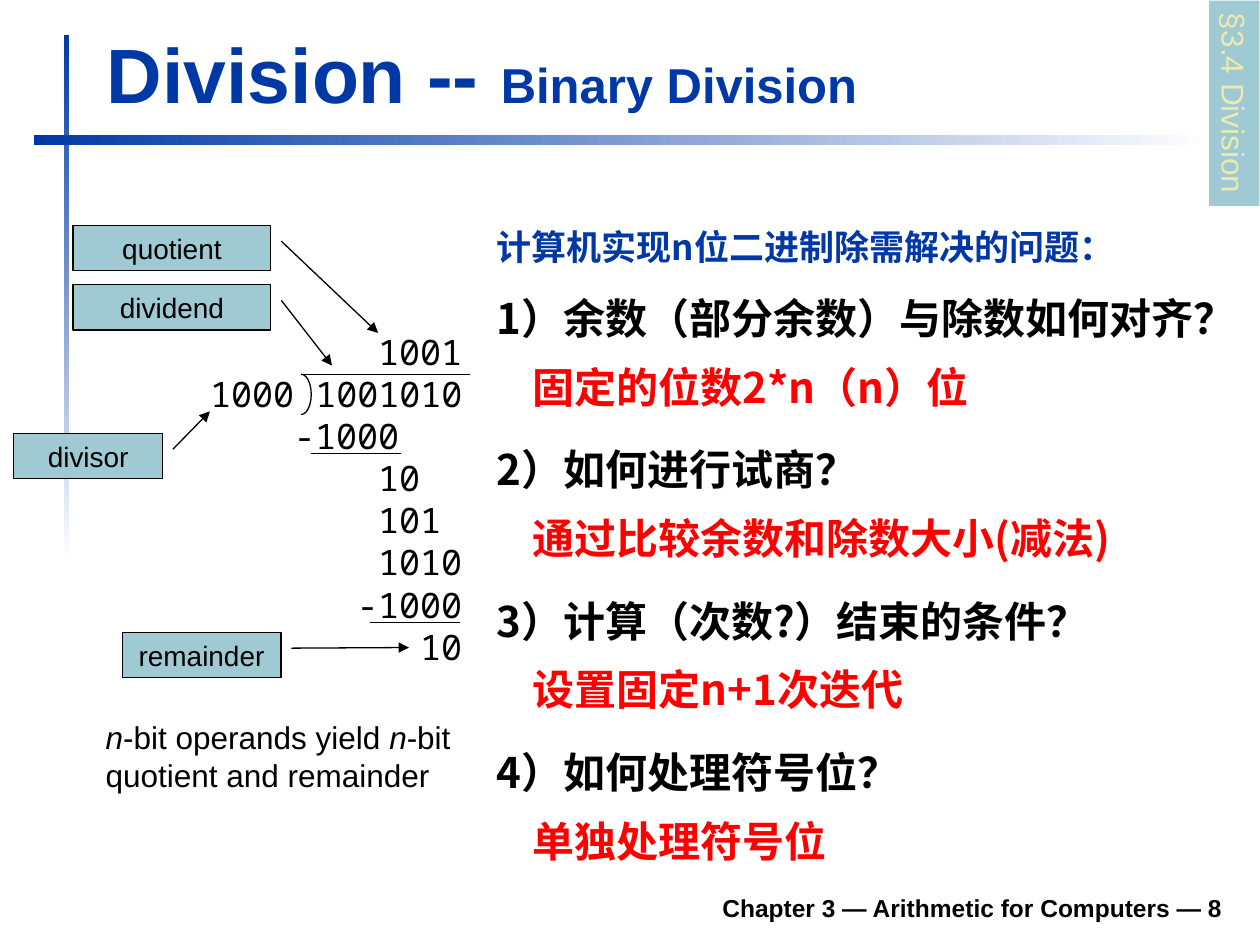
"""Build the binary division slide with its worked example and questions."""
from dataclasses import dataclass

from lxml import etree
from pptx import Presentation
from pptx.dml.color import RGBColor
from pptx.enum.shapes import MSO_CONNECTOR as Connector, MSO_SHAPE as Shape
from pptx.enum.text import MSO_ANCHOR as Anchor, PP_ALIGN as Align
from pptx.oxml.ns import qn
from pptx.util import Inches, Pt


@dataclass(frozen=True)
class Theme:
    blue: str = "0039A6"
    teal: str = "9FCAD3"
    cream: str = "ECEAAC"
    red: str = "FF0000"
    black: str = "000000"
    white: str = "FFFFFF"
    sans: str = "Arial"
    chinese: str = "Noto Sans CJK SC"
    mono: str = "Noto Sans Mono"
    title: int = 44
    subtitle: int = 28
    question: int = 24
    heading: int = 20
    digits: int = 20
    note: int = 18
    label: int = 16
    footer: int = 14
    hairline: float = 0.75


THEME = Theme()

TITLE = [("Division -- ", THEME.title), ("Binary Division", THEME.subtitle)]
SECTION = "§3.4 Division"
FOOTER = "Chapter 3 — Arithmetic for Computers — 8"
HEADING = "计算机实现n位二进制除需解决的问题："
QUESTIONS = [
    "1）余数（部分余数）与除数如何对齐？",
    "2）如何进行试商？",
    "3）计算（次数?）结束的条件？",
    "4）如何处理符号位？",
]
ANSWERS = [
    "固定的位数2*n（n）位",
    "通过比较余数和除数大小(减法)",
    "设置固定n+1次迭代",
    "单独处理符号位",
]
WORKING = [
    (8, "1001"), (0, "1000 1001010"), (4, "-1000"), (8, "10"),
    (8, "101"), (8, "1010"), (7, "-1000"), (10, "10"),
]
NOTE = [
    [("n", True), ("-bit operands yield ", False), ("n", True), ("-bit", False)],
    [("quotient and remainder", False)],
]
CALLOUTS = [
    ("quotient", (0.58, 1.79, 1.57), (0.346, 1.053, 2.37, 1.542)),
    ("dividend", (0.58, 2.26, 1.57), (0.346, 1.053, 1.784, 1.309)),
    ("remainder", (0.97, 5.02, 1.26), (0.346, 1.066, 0.332, 1.807)),
    ("divisor", (0.11, 3.44, 1.18), (0.346, 1.071, -0.486, 1.319)),
]
RULES = [(2.39, 3.73, 2.97), (2.47, 3.18, 3.6), (2.94, 3.65, 4.94)]
BARS = [((0.51, 0.28, 0.04, 4.17), 270), ((0.27, 1.07, 9.37, 0.08), 0)]
CALLOUT_HEIGHT = 0.36
QUESTION_LINE = 43.2
HEADING_LINE = 37
DIGIT_LINE = 24.1
DIGIT_WIDTH = 12


def rgb(color):
    return RGBColor.from_string(color)


def inches(*values):
    return [Inches(value) for value in values]


def add_span(para, text, size, color=THEME.black, font=THEME.sans, bold=False, italic=False):
    span = para.add_run()
    span.text = text
    span.font.name = font
    span.font.size = Pt(size)
    span.font.bold = bold
    span.font.italic = italic
    span.font.color.rgb = rgb(color)
    if font == THEME.chinese:
        etree.SubElement(span.font._element, qn("a:ea"), typeface=font)


def add_box(page, place, wrap=True, anchor=Anchor.TOP):
    frame = page.shapes.add_textbox(*inches(*place)).text_frame
    frame.word_wrap = wrap
    frame.vertical_anchor = anchor
    return frame


def next_para(frame, index):
    return frame.add_paragraph() if index else frame.paragraphs[0]


def add_shape(page, kind, place, fill=None, line=None):
    shape = page.shapes.add_shape(kind, *inches(*place))
    shape.shadow.inherit = False
    if fill:
        shape.fill.solid()
        shape.fill.fore_color.rgb = rgb(fill)
    else:
        shape.fill.background()
    if line:
        shape.line.color.rgb = rgb(line)
        shape.line.width = Pt(THEME.hairline)
    else:
        shape.line.fill.background()
    return shape


def add_bar(page, place, angle):
    bar = add_shape(page, Shape.RECTANGLE, place)
    bar.fill.gradient()
    bar.fill.gradient_angle = angle
    for stop, position, color in zip(bar.fill.gradient_stops, (0, 1), (THEME.blue, THEME.white)):
        stop.position = position
        stop.color.rgb = rgb(color)


def add_callout(page, text, place, pointer):
    callout = add_shape(page, Shape.LINE_CALLOUT_1, (*place, CALLOUT_HEIGHT), THEME.teal, THEME.black)
    for index, value in enumerate(pointer):
        callout.adjustments[index] = value
    etree.SubElement(callout.line._get_or_add_ln(), qn("a:tailEnd"), type="triangle")
    frame = callout.text_frame
    frame.vertical_anchor = Anchor.MIDDLE
    para = frame.paragraphs[0]
    para.alignment = Align.CENTER
    add_span(para, text, THEME.label)


def add_rule(page, left, right, top):
    rule = page.shapes.add_connector(Connector.STRAIGHT, *inches(left, top, right, top))
    rule.line.color.rgb = rgb(THEME.black)
    rule.line.width = Pt(THEME.hairline)
    etree.SubElement(rule._element.spPr, qn("a:effectLst"))


def add_chinese(frame, lines, color, start=0):
    for index, text in enumerate(lines):
        para = next_para(frame, start + index)
        para.line_spacing = Pt(QUESTION_LINE)
        para.space_before = Pt(QUESTION_LINE if index else 0)
        add_span(para, text, THEME.question, color, THEME.chinese, bold=True)


def add_working(page):
    frame = add_box(page, (1.57, 2.57, 2.4, 2.77))
    for index, (column, digits) in enumerate(WORKING):
        para = next_para(frame, index)
        para.line_spacing = Pt(DIGIT_LINE)
        para._p.get_or_add_pPr().set("marL", str(Pt(column * DIGIT_WIDTH)))
        add_span(para, digits, THEME.digits, font=THEME.mono)
    for rule in RULES:
        add_rule(page, *rule)
    bracket = add_shape(page, Shape.RIGHT_BRACKET, (2.39, 2.97, 0.08, 0.32), line=THEME.black)
    bracket.adjustments[0] = 2


def main():
    deck = Presentation()
    deck.slide_width, deck.slide_height = inches(10, 7.5)
    page = deck.slides.add_slide(deck.slide_layouts[6])

    for place, angle in BARS:
        add_bar(page, place, angle)

    para = add_box(page, (1.85, 6.98, 7.95, 0.39), anchor=Anchor.BOTTOM).paragraphs[0]
    para.alignment = Align.RIGHT
    add_span(para, FOOTER, THEME.footer, bold=True)

    para = add_box(page, (0.75, 0.16, 9.03, 0.83), anchor=Anchor.BOTTOM).paragraphs[0]
    for text, size in TITLE:
        add_span(para, text, size, THEME.blue, bold=True)

    frame = add_box(page, (3.84, 1.56, 6.25, 4.77))
    para = frame.paragraphs[0]
    para.line_spacing = Pt(HEADING_LINE)
    add_span(para, HEADING, THEME.heading, THEME.blue, THEME.chinese, bold=True)
    add_chinese(frame, QUESTIONS, THEME.black, start=1)
    add_chinese(add_box(page, (4.13, 2.62, 5.46, 4.21)), ANSWERS, THEME.red)

    add_working(page)
    for callout in CALLOUTS:
        add_callout(page, *callout)

    para = add_box(page, (0.74, 5.65, 2.94, 0.7), wrap=False).paragraphs[0]
    for index, line in enumerate(NOTE):
        if index:
            para.add_line_break()
        for text, italic in line:
            add_span(para, text, THEME.note, italic=italic)

    tab = add_shape(page, Shape.RECTANGLE, (8.98, 0.62, 1.63, 0.4), THEME.teal)
    tab.rotation = 90
    tab.text_frame.word_wrap = False
    para = tab.text_frame.paragraphs[0]
    para.alignment = Align.LEFT
    add_span(para, SECTION, THEME.note, THEME.cream)

    deck.save("out.pptx")


if __name__ == "__main__":
    main()
